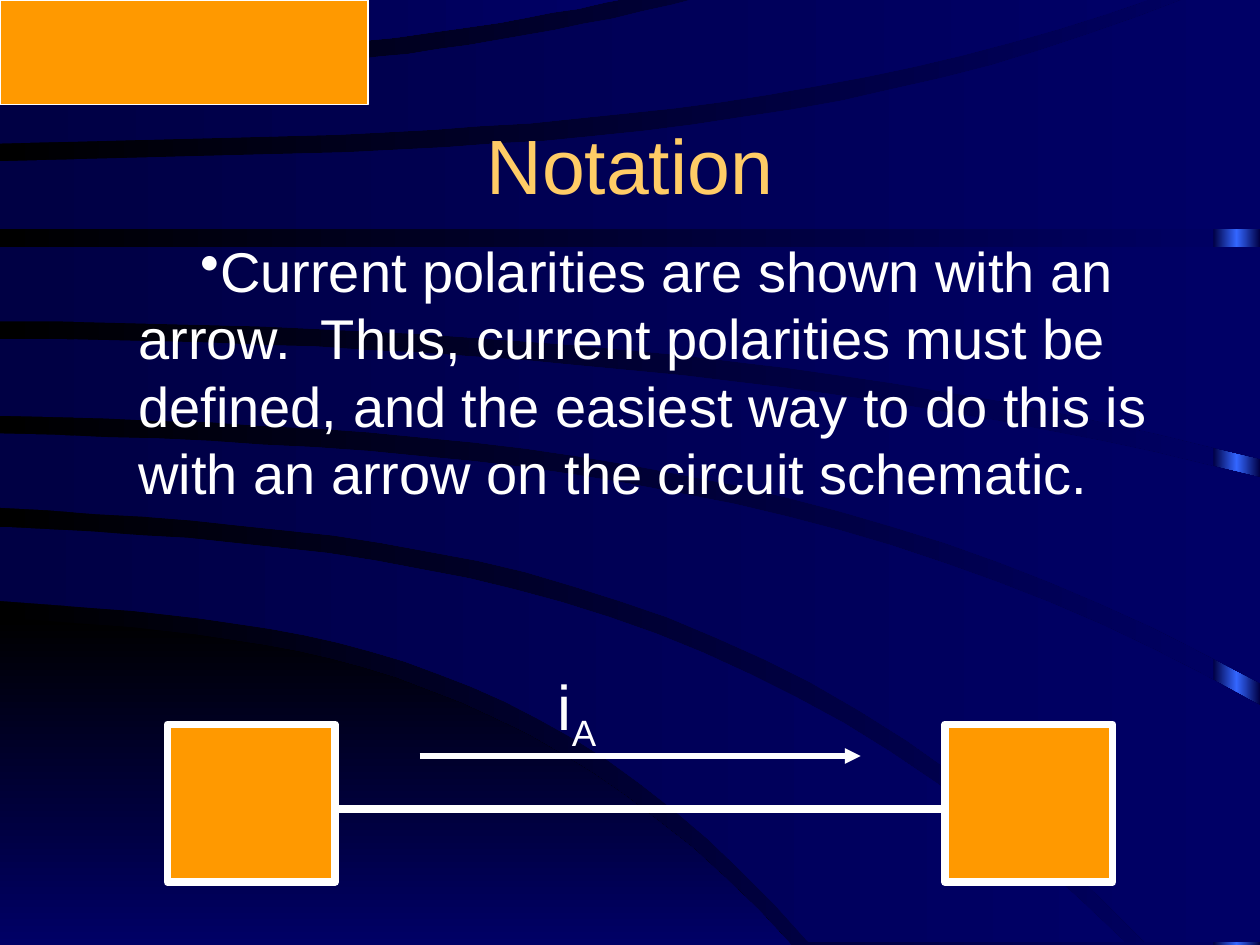
import copy

import pptx
import pptx.dml.color
import pptx.enum.shapes
import pptx.enum.text
import pptx.oxml
import pptx.oxml.ns
import pptx.util
from pptx.util import Inches

COLORS = {
    "black": "000000",
    "navy": "000066",
    "midnight": "000044",
    "glow": "3366FF",
    "orange": "FF9900",
    "gold": "FFCC66",
    "white": "FFFFFF",
}
FONT = "Arial"
CURVE_STEPS = 24


def rgb(name):
    return pptx.dml.color.RGBColor.from_string(COLORS[name])


def curve(end_x, *heights):
    """Points of the cubic through four heights evenly spaced from x = 0 to end_x."""
    first, second, third, fourth = heights
    slope = second - first
    bend = third - 2 * second + first
    twist = fourth - 3 * third + 3 * second - first
    points = []
    for step in range(CURVE_STEPS + 1):
        t = 3 * step / CURVE_STEPS
        y = (first + slope * t + bend * t * (t - 1) / 2
             + twist * t * (t - 1) * (t - 2) / 6)
        points.append((end_x * step / CURVE_STEPS, y))
    return points


def swoosh_outlines():
    """Outlines of the corner and the bands, bottom to top, in hundredths of an inch."""
    return [
        curve(628, 491, 512, 583, 750) + [(0, 750)],
        curve(642, 477, 499, 571, 748) + curve(893, 418, 445, 535, 748)[::-1],
        curve(909, 403, 431, 523, 748) + [(1000, 748)]
        + curve(1000, 344, 362, 421, 560)[::-1],
        curve(1000, 330, 347, 406, 542) + curve(1000, 269, 280, 314, 379)[::-1],
        curve(1000, 255, 265, 298, 364) + [(1000, 196), (0, 196)],
        curve(943, 128, 119, 87, -2) + [(1000, -2), (1000, 182), (0, 182)],
        curve(917, 114, 105, 75, -2) + curve(556, 61, 56, 36, -2)[::-1],
        curve(501, 47, 43, 27, -2) + [(0, -2)],
    ]


def fill_gradient(fill, names, angle=0):
    """Fill with evenly spaced colours; the angle runs counter-clockwise."""
    fill.gradient()
    fill.gradient_angle = angle
    first_stop = fill.gradient_stops[0]._gs
    for _ in names[2:]:
        first_stop.addnext(copy.deepcopy(first_stop))
    for index, (stop, name) in enumerate(zip(fill.gradient_stops, names)):
        stop.position = index / (len(names) - 1)
        stop.color.rgb = rgb(name)


def add_swoosh(slide, outline, names, angle=0):
    builder = slide.shapes.build_freeform(*outline[0], scale=Inches(0.01))
    builder.add_line_segments(outline[1:], close=True)
    swoosh = builder.convert_to_shape()
    swoosh.shadow.inherit = False
    swoosh.line.fill.background()
    fill_gradient(swoosh.fill, names, angle)


def add_rectangle(slide, left, top, width, height):
    rectangle = slide.shapes.add_shape(
        pptx.enum.shapes.MSO_SHAPE.RECTANGLE,
        Inches(left), Inches(top), Inches(width), Inches(height))
    rectangle.shadow.inherit = False
    return rectangle


def add_orange_box(slide, left, top, width, height, outline_width):
    box = add_rectangle(slide, left, top, width, height)
    box.fill.solid()
    box.fill.fore_color.rgb = rgb("orange")
    box.line.color.rgb = rgb("white")
    box.line.width = pptx.util.Pt(outline_width)


def add_backdrop(slide):
    fill_gradient(slide.background.fill, ["black", "navy"])
    side_strip = add_rectangle(slide, 9.63, 0, 0.37, 7.5)
    side_strip.line.fill.background()
    fill_gradient(side_strip.fill, ["midnight", "glow", "midnight"])
    corner, *bands = swoosh_outlines()
    add_swoosh(slide, corner, ["black", "navy"], angle=270)
    for band in bands:
        add_swoosh(slide, band, ["midnight", "navy"])
    add_orange_box(slide, 0, 0, 2.92, 0.83, 1)


def add_text(slide, left, top, width, height, pieces, size, color="white", wrap=True):
    """Add a one-paragraph text box and return its frame."""
    box = slide.shapes.add_textbox(
        Inches(left), Inches(top), Inches(width), Inches(height))
    frame = box.text_frame
    frame.word_wrap = wrap
    for piece in pieces:
        run = frame.paragraphs[0].add_run()
        run.text = piece
        run.font.name = FONT
        run.font.size = pptx.util.Pt(size)
        run.font.color.rgb = rgb(color)
    return frame


def add_bullet(paragraph):
    properties = paragraph._p.get_or_add_pPr()
    properties.set("marL", str(Inches(0.5)))
    properties.set("indent", str(Inches(0.49)))
    properties.append(pptx.oxml.parse_xml(
        f'<a:buChar {pptx.oxml.ns.nsdecls("a")} char="•"/>'))


def add_wire(slide, start_x, end_x, y, width, arrow=False):
    wire = slide.shapes.add_connector(
        pptx.enum.shapes.MSO_CONNECTOR.STRAIGHT,
        Inches(start_x), Inches(y), Inches(end_x), Inches(y))
    wire.line.color.rgb = rgb("white")
    wire.line.width = pptx.util.Pt(width)
    namespace = pptx.oxml.ns.nsdecls("a")
    if arrow:
        wire.line._get_or_add_ln().append(
            pptx.oxml.parse_xml(f'<a:tailEnd {namespace} type="triangle"/>'))
    wire._element.spPr.append(pptx.oxml.parse_xml(f"<a:effectLst {namespace}/>"))


def add_circuit(slide):
    label = add_text(slide, 4.33, 5.25, 0.53, 0.7, ["i", "A"], 36, wrap=False)
    label.auto_size = pptx.enum.text.MSO_AUTO_SIZE.SHAPE_TO_FIT_TEXT
    subscript = label.paragraphs[0].runs[1]
    subscript.font._element.set("baseline", "-25000")
    add_wire(slide, 2.67, 7.5, 6.42, 4.5)
    add_wire(slide, 3.33, 6.83, 6, 3, arrow=True)
    for left in (1.33, 7.5):
        add_orange_box(slide, left, 5.75, 1.33, 1.25, 4.5)


def main():
    presentation = pptx.Presentation()
    presentation.slide_width = Inches(10)
    presentation.slide_height = Inches(7.5)
    slide = presentation.slides.add_slide(presentation.slide_layouts[6])

    add_backdrop(slide)
    title = add_text(slide, 0.75, 0.67, 8.5, 1.25, ["Notation"], 44, "gold")
    title.vertical_anchor = pptx.enum.text.MSO_ANCHOR.MIDDLE
    title.paragraphs[0].alignment = pptx.enum.text.PP_ALIGN.CENTER
    body = add_text(slide, 0.5, 1.83, 9, 2.58, [
        "Current polarities are shown with an arrow.  Thus, current polarities must be "
        "defined, and the easiest way to do this is with an arrow on the circuit schematic."
    ], 32)
    body.paragraphs[0].space_before = pptx.util.Pt(6.4)
    add_bullet(body.paragraphs[0])
    add_circuit(slide)

    presentation.save("out.pptx")


if __name__ == "__main__":
    main()
